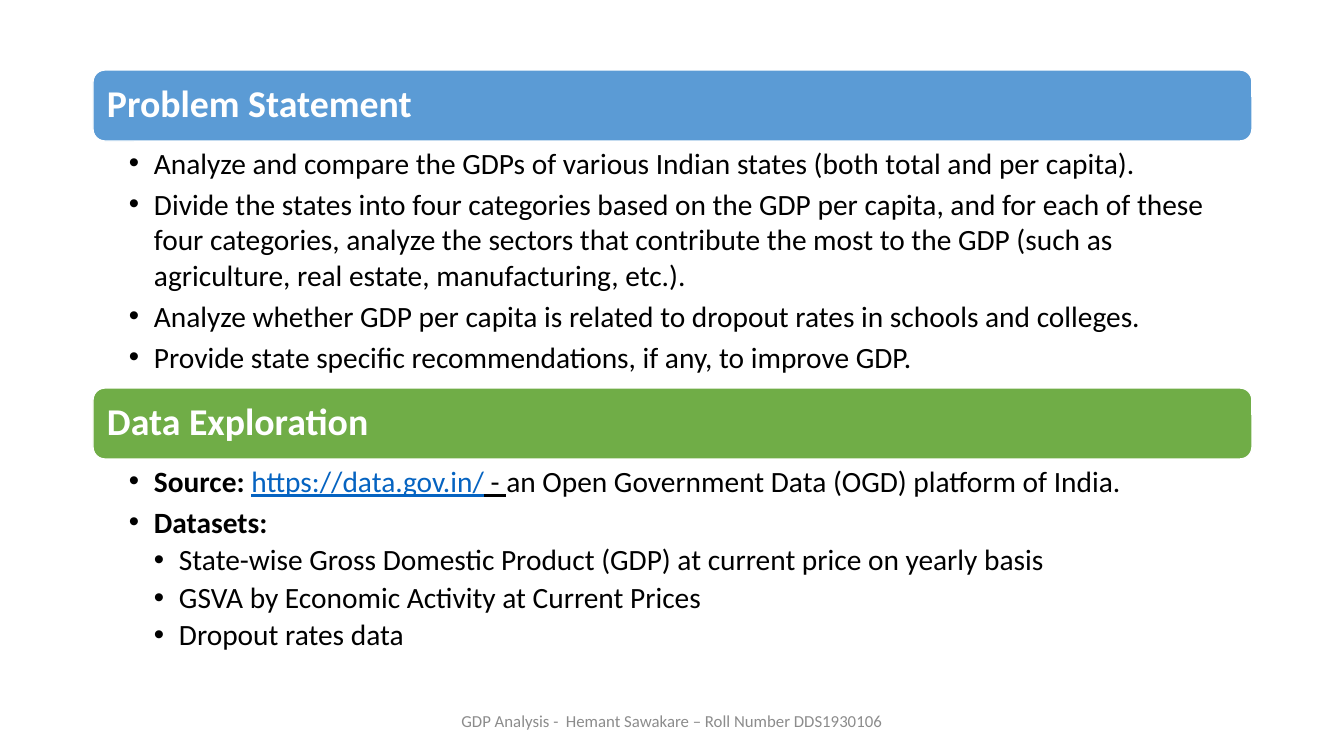
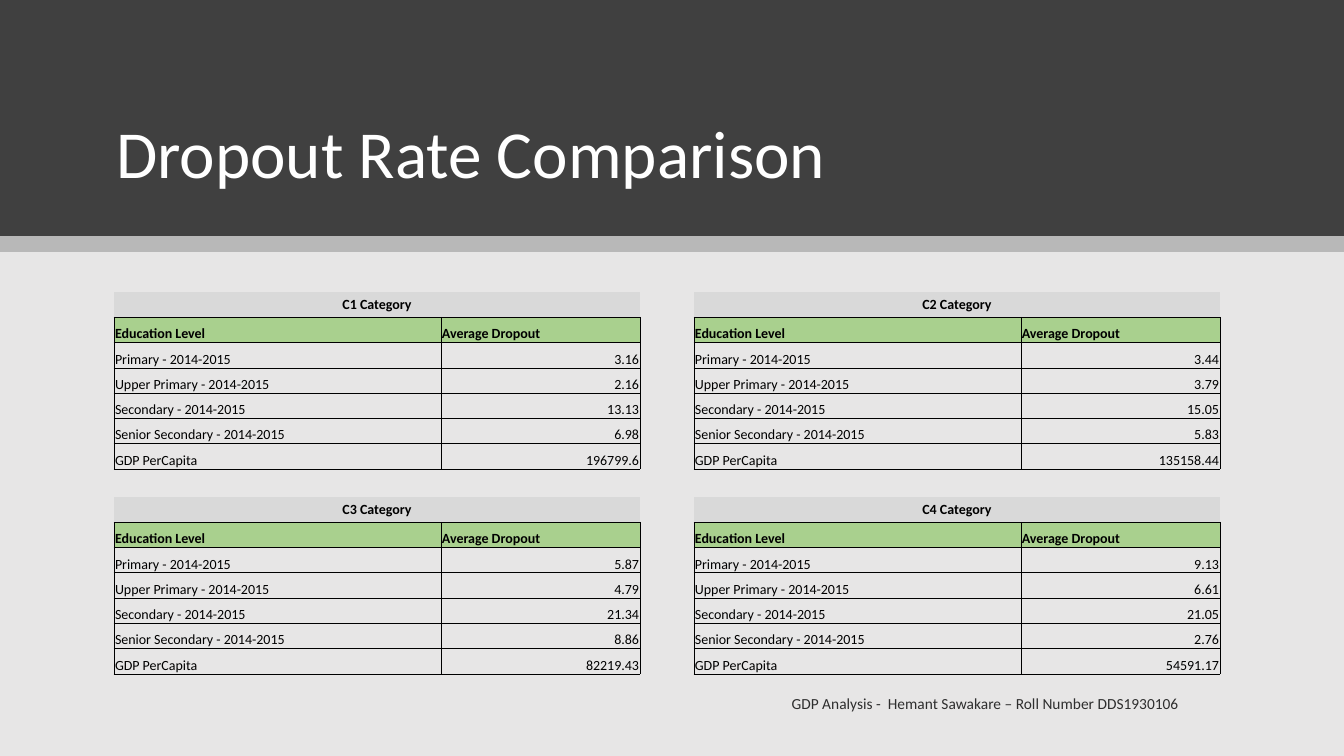
from lxml.etree import SubElement
from pptx import Presentation
from pptx.dml.color import RGBColor
from pptx.enum.shapes import MSO_SHAPE as Shape
from pptx.enum.text import MSO_ANCHOR as Anchor, MSO_AUTO_SIZE as AutoSize, PP_ALIGN as Align
from pptx.oxml.ns import qn
from pptx.util import Pt

FONT = "Calibri"
BLACK, WHITE = "000000", "FFFFFF"
BLUE, GREEN, LINK = "5B9BD5", "70AD47", "0563C1"
DARK, BAND, PAPER = "404040", "B8B8B8", "E7E6E6"
CAPTION, HEADER = "D9D9D9", "A9D08E"
FOOTER = "GDP Analysis -  Hemant Sawakare – Roll Number DDS1930106"
color = RGBColor.from_string


def px(length):
    return round(length * 12192000 / 1344)


def style_text(text_frame, size, hex_color, bold=False, align=Align.LEFT):
    for paragraph in text_frame.paragraphs:
        paragraph.alignment = align
        for run in paragraph.runs:
            run.font.name = FONT
            run.font.size = Pt(size)
            run.font.bold = bold
            run.font.color.rgb = color(hex_color)


presentation = Presentation()
presentation.slide_width, presentation.slide_height = px(1344), px(756)

problem_slide = presentation.slides.add_slide(presentation.slide_layouts[4])
holders = {holder.placeholder_format.idx: holder for holder in problem_slide.placeholders}
unused = holders[1].element
unused.getparent().remove(unused)

sections = [
    (0, 2, 70, 246, BLUE, "Problem Statement", [
        (1, ["Analyze and compare the GDPs of various Indian states (both total and per capita)."]),
        (1, ["Divide the states into four categories based on the GDP per capita, and for each of these "
             "four categories, analyze the sectors that contribute the most to the GDP (such as "
             "agriculture, real estate, manufacturing, etc.)."]),
        (1, ["Analyze whether GDP per capita is related to dropout rates in schools and colleges."]),
        (1, ["Provide state specific recommendations, if any, to improve GDP."]),
    ]),
    (3, 4, 388, 210, GREEN, "Data Exploration", [
        (1, ["Source: ", "https://data.gov.in/", " - ", "an Open Government Data (OGD) platform of India."]),
        (1, ["Datasets:"]),
        (2, ["State-wise Gross Domestic Product (GDP) at current price on yearly basis"]),
        (2, ["GSVA by Economic Activity at Current Prices"]),
        (2, ["Dropout rates data"]),
    ]),
]
LEFT, WIDTH, BANNER_HEIGHT, INDENT = 93, 1159, 71, 25

for heading_idx, body_idx, top, body_height, fill, heading_text, items in sections:
    heading, body = holders[heading_idx], holders[body_idx]
    banner_box = [px(n) for n in (LEFT, top, WIDTH, BANNER_HEIGHT)]
    banner = problem_slide.shapes.add_shape(Shape.ROUNDED_RECTANGLE, *banner_box)
    banner.shadow.inherit = False
    banner.fill.solid()
    banner.fill.fore_color.rgb = color(fill)
    banner.line.color.rgb = color(WHITE)
    banner.line.width = Pt(1)
    heading.element.addprevious(banner.element)

    heading.left, heading.top, heading.width, heading.height = banner_box
    frame = heading.text_frame
    frame.text = heading_text
    frame.auto_size = AutoSize.NONE
    frame.vertical_anchor = Anchor.MIDDLE
    frame.margin_left = px(14)
    frame.paragraphs[0].line_spacing = 0.9
    frame.paragraphs[0].space_before = Pt(0)
    style_text(frame, 27, WHITE, bold=True)

    body.left, body.top = px(LEFT), px(top + BANNER_HEIGHT)
    body.width, body.height = px(WIDTH), px(body_height)
    frame = body.text_frame
    frame.auto_size = AutoSize.NONE
    frame.margin_left, frame.margin_right = px(36), px(21)
    frame.margin_top = frame.margin_bottom = px(4)
    for number, (level, parts) in enumerate(items):
        paragraph = frame.add_paragraph() if number else frame.paragraphs[0]
        for part in parts:
            paragraph.add_run().text = part
        paragraph.level = level - 1
        paragraph.line_spacing = 1.0 if level == 1 else 0.9
        paragraph.space_before, paragraph.space_after = Pt(0), Pt(4.2)
        properties = paragraph._p.get_or_add_pPr()
        properties.set("marL", str(px(INDENT * level)))
        properties.set("indent", str(-px(INDENT)))
        SubElement(properties, qn("a:buFont"), typeface="Arial")
        SubElement(properties, qn("a:buChar"), char="•")
    style_text(frame, 21, BLACK)

source, datasets = holders[4].text_frame.paragraphs[:2]
label, address, dash = source.runs[:3]
label.font.bold = datasets.runs[0].font.bold = True
address.font.color.rgb = color(LINK)
address.font.underline = dash.font.underline = True

dropout_slide = presentation.slides.add_slide(presentation.slide_layouts[5])
title = dropout_slide.shapes.title
for top, height, fill in [(0, 756, PAPER), (0, 236, DARK), (236, 16, BAND)]:
    band = dropout_slide.shapes.add_shape(Shape.RECTANGLE, 0, px(top), px(1344), px(height))
    band.shadow.inherit = False
    band.fill.solid()
    band.fill.fore_color.rgb = color(fill)
    band.line.fill.background()
    title.element.addprevious(band.element)
title.left, title.top, title.width, title.height = [px(n) for n in (106, 48, 1133, 150)]
title.text_frame.text = "Dropout Rate Comparison"
title.text_frame.auto_size = AutoSize.NONE
title.text_frame.vertical_anchor = Anchor.BOTTOM
title.text_frame.paragraphs[0].line_spacing = 0.9
style_text(title.text_frame, 48, WHITE)

levels = ["Primary - 2014-2015", "Upper Primary - 2014-2015", "Secondary - 2014-2015",
          "Senior Secondary - 2014-2015", "GDP PerCapita"]
categories = [
    ("C1 Category", ["3.16", "2.16", "13.13", "6.98", "196799.6"]),
    ("C2 Category", ["3.44", "3.79", "15.05", "5.83", "135158.44"]),
    ("C3 Category", ["5.87", "4.79", "21.34", "8.86", "82219.43"]),
    ("C4 Category", ["9.13", "6.61", "21.05", "2.76", "54591.17"]),
]
COLUMN_WIDTHS = [327, 199, 54, 327, 199]
BLOCK_HEIGHT, GAP_HEIGHT, BLOCK_ROWS = 177, 28, 7
PERIOD = BLOCK_ROWS + 1
ROW_COUNT = 2 * BLOCK_ROWS + 1

texts = {}
for number, (name, values) in enumerate(categories):
    row, column = number // 2 * PERIOD, number % 2 * 3
    texts[row, column] = name
    pairs = [("Education Level", "Average Dropout"), *zip(levels, values)]
    for offset, pair in enumerate(pairs, 1):
        texts[row + offset, column], texts[row + offset, column + 1] = pair

boxed = {position for position in texts if position[0] % PERIOD}
table = dropout_slide.shapes.add_table(
    ROW_COUNT, len(COLUMN_WIDTHS), px(114), px(292),
    px(sum(COLUMN_WIDTHS)), px(2 * BLOCK_HEIGHT + GAP_HEIGHT)).table
table.first_row = table.horz_banding = False
for column, width in zip(table.columns, COLUMN_WIDTHS):
    column.width = px(width)
for number, row in enumerate(table.rows):
    row.height = px(GAP_HEIGHT) if number == BLOCK_ROWS else px(BLOCK_HEIGHT) // BLOCK_ROWS

for row in range(ROW_COUNT):
    kind = row % PERIOD
    for column in range(len(COLUMN_WIDTHS)):
        cell = table.cell(row, column)
        cell.margin_left = cell.margin_right = cell.margin_top = px(1)
        cell.margin_bottom = 0
        cell.vertical_anchor = Anchor.BOTTOM if kind else Anchor.MIDDLE
        properties = cell._tc.get_or_add_tcPr()
        for side, down, across in [("L", 0, -1), ("R", 0, 1), ("T", -1, 0), ("B", 1, 0)]:
            border = SubElement(properties, qn(f"a:ln{side}"), w=str(Pt(0.5)))
            if boxed & {(row, column), (row + down, column + across)}:
                paint = SubElement(border, qn("a:solidFill"))
                SubElement(paint, qn("a:srgbClr"), val=BLACK)
            else:
                SubElement(border, qn("a:noFill"))
        if kind < 2 and column != 2:
            cell.fill.solid()
            cell.fill.fore_color.rgb = color(HEADER if kind else CAPTION)
        else:
            cell.fill.background()
        if (row, column) in texts:
            cell.text_frame.text = texts[row, column]
            align = Align.CENTER if kind == 0 else Align.RIGHT if kind > 1 and column % 3 else Align.LEFT
            style_text(cell.text_frame, 10, BLACK, kind < 2, align)
        else:
            SubElement(cell.text_frame.paragraphs[0]._p, qn("a:endParaRPr"), sz="1000")
    if kind == 0:
        for column in (0, 3):
            table.cell(row, column).merge(table.cell(row, column + 1))

footers = [
    (problem_slide, (445, 701, 454, 40), 12, "8C8C8C", Align.CENTER),
    (dropout_slide, (538, 683, 651, 40), 11, "2E2E2E", Align.RIGHT),
]
for slide, box, size, text_color, align in footers:
    footer = slide.shapes.add_textbox(*[px(n) for n in box])
    footer.text_frame.word_wrap = True
    footer.text_frame.vertical_anchor = Anchor.MIDDLE
    footer.text_frame.text = FOOTER
    style_text(footer.text_frame, size, text_color, align=align)

presentation.save("out.pptx")
